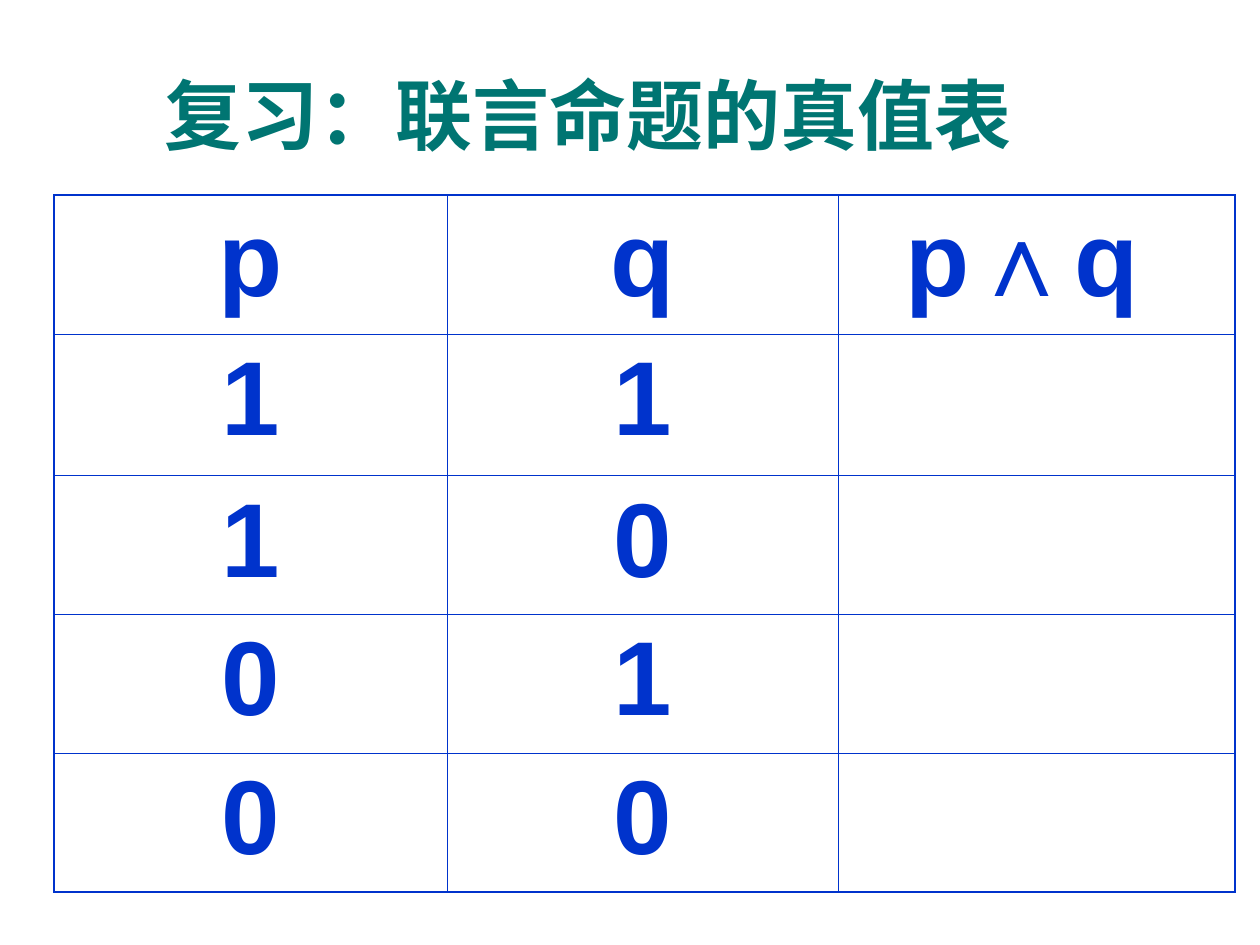
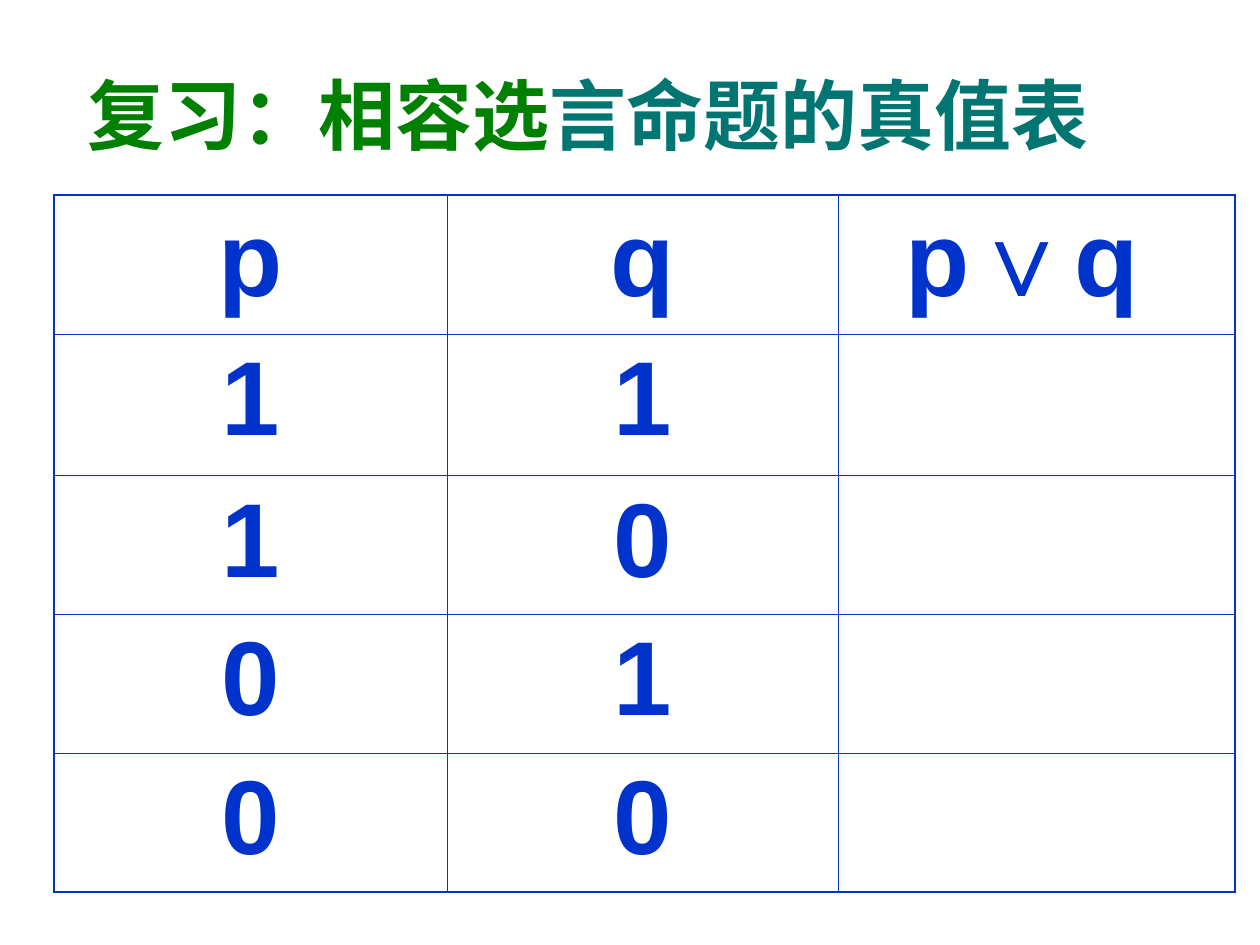
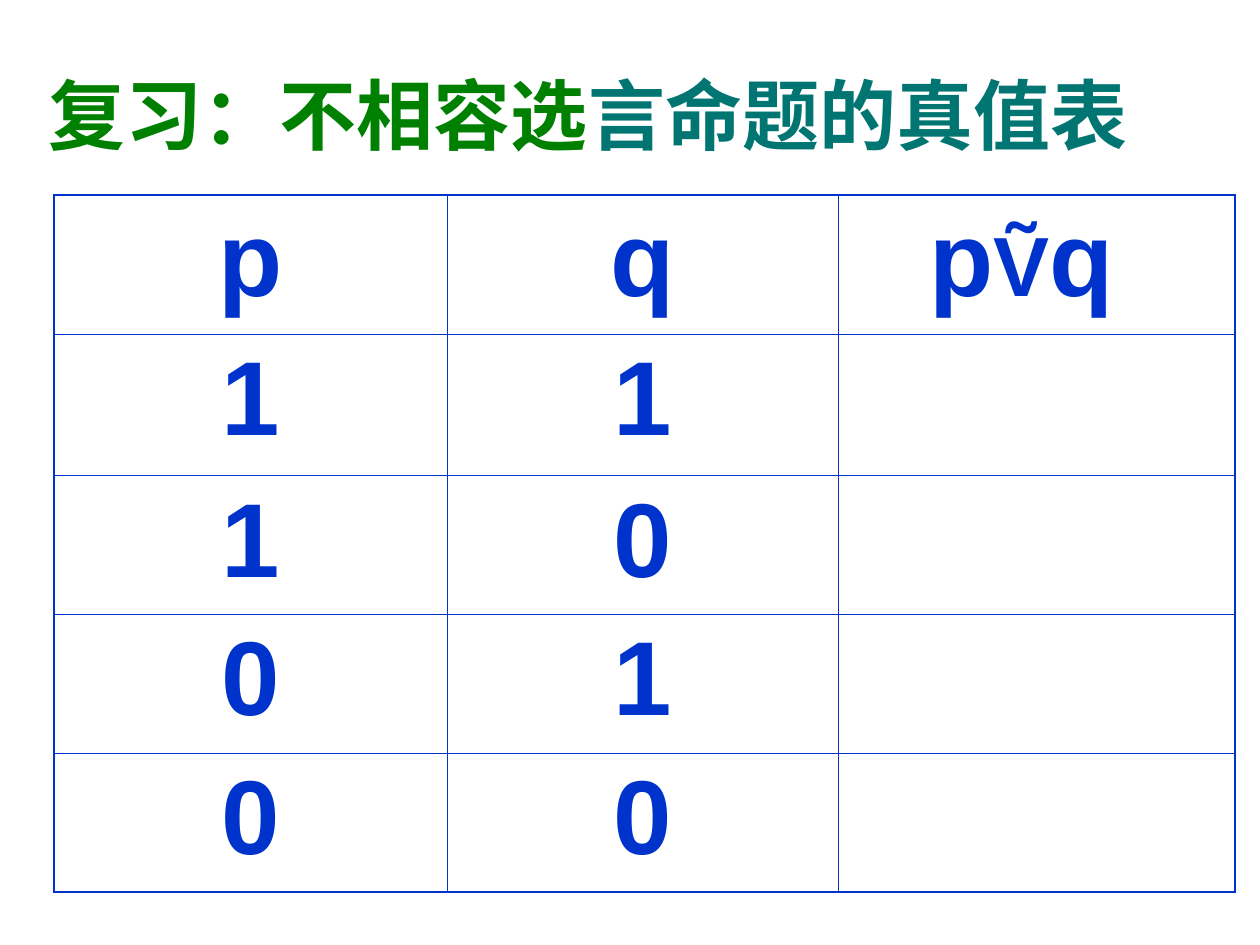
from lxml.etree import SubElement
from pptx import Presentation
from pptx.dml.color import RGBColor
from pptx.enum.text import MSO_ANCHOR, MSO_AUTO_SIZE, PP_ALIGN
from pptx.oxml.ns import qn
from pptx.util import Pt

# Shared look
FONT = "Arial"
TEAL, GREEN, BLUE = "007572", "008000", "0033CC"
OUTER, INNER = 1.08, 0.45
COLUMN_WIDTHS = [224.9, 222.9, 226.8]
ROW_HEIGHTS = [79.3, 81, 79.3, 79.3, 79.3]
TRUTH_ROWS = [("1", "1"), ("1", "0"), ("0", "1"), ("0", "0")]

# Title spans (text, colour) and formula spans (text, size) of each slide
LESSONS = [
    ([("复习：联言命题的真值表", TEAL)], [("p∧q ", 60)]),
    ([("复习：相容选", GREEN), ("言命题的真值表", TEAL)], [("p∨q ", 60)]),
    ([("复习：不相容选", GREEN), ("言命题的真值表", TEAL)],
     [("p", 60), ("Ṽ", 48), ("q ", 60)]),
]


def write(para, text, size=60, color=BLUE):
    para.alignment = PP_ALIGN.CENTER
    span = para.add_run()
    span.text = text
    span.font.name = FONT
    span.font.size = Pt(size)
    span.font.bold = True
    span.font.color.rgb = RGBColor.from_string(color)


def set_border(cell, side, width):
    line = SubElement(cell._tc.get_or_add_tcPr(), qn(f"a:ln{side}"), w=str(Pt(width)))
    fill = SubElement(line, qn("a:solidFill"))
    SubElement(fill, qn("a:srgbClr"), val=BLUE)


deck = Presentation()
deck.slide_width, deck.slide_height = Pt(720), Pt(540)

for title_spans, formula_spans in LESSONS:
    page = deck.slides.add_slide(deck.slide_layouts[5])

    # Title
    title = page.shapes.title
    title.left, title.top, title.width, title.height = Pt(0), Pt(20.2), Pt(672.5), Pt(90)
    title.text_frame.auto_size = MSO_AUTO_SIZE.NONE
    title.text_frame.vertical_anchor = MSO_ANCHOR.MIDDLE
    for text, color in title_spans:
        write(title.text_frame.paragraphs[0], text, size=44, color=color)

    # Truth table grid
    frame = page.shapes.add_table(
        len(ROW_HEIGHTS), len(COLUMN_WIDTHS),
        Pt(31), Pt(111.5), Pt(sum(COLUMN_WIDTHS)), Pt(sum(ROW_HEIGHTS)))
    table = frame.table
    table.first_row = table.horz_banding = False
    for column, width in zip(table.columns, COLUMN_WIDTHS):
        column.width = Pt(width)
    for row, height in zip(table.rows, ROW_HEIGHTS):
        row.height = Pt(height)

    # Borders: heavier around the outside
    last_row, last_column = len(ROW_HEIGHTS) - 1, len(COLUMN_WIDTHS) - 1
    for r, row in enumerate(table.rows):
        for c, cell in enumerate(row.cells):
            set_border(cell, "L", OUTER if c == 0 else INNER)
            set_border(cell, "R", OUTER if c == last_column else INNER)
            set_border(cell, "T", OUTER if r == 0 else INNER)
            set_border(cell, "B", OUTER if r == last_row else INNER)
            cell.fill.background()

    # Variables, their values and the formula; its results stay open
    for r, values in enumerate([("p", "q")] + TRUTH_ROWS):
        for c, value in enumerate(values):
            write(table.cell(r, c).text_frame.paragraphs[0], value)
    for text, size in formula_spans:
        write(table.cell(0, last_column).text_frame.paragraphs[0], text, size=size)

deck.save("out.pptx")
